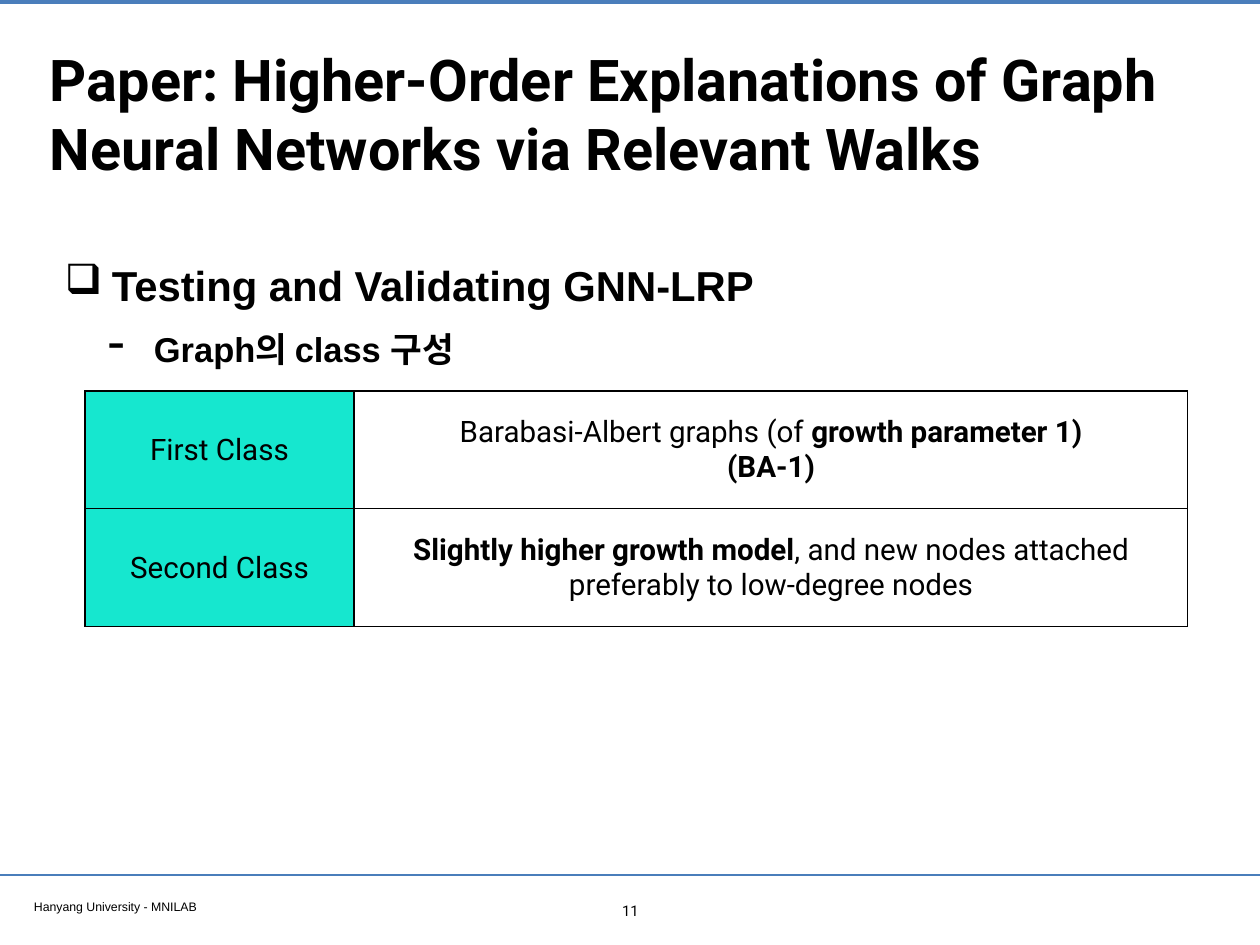
"""Build a slide on the graph classes used to test GNN-LRP."""
import lxml.etree
import pptx
import pptx.dml.color
import pptx.enum.shapes
import pptx.enum.text
import pptx.oxml
import pptx.oxml.ns
import pptx.util

PX = 10321
NS = pptx.oxml.ns.nsdecls("a")
LEFT = pptx.enum.text.PP_ALIGN.LEFT
MID = pptx.enum.text.PP_ALIGN.CENTER
TOP = pptx.enum.text.MSO_ANCHOR.TOP
CORE = pptx.enum.text.MSO_ANCHOR.MIDDLE


def color(code):
    return pptx.dml.color.RGBColor.from_string(code)


def write(para, text, size, face, bold, align):
    run = para.add_run()
    run.text = text
    para.alignment = align
    form = {"size": pptx.util.Pt(size), "name": face, "bold": bold}
    for key, value in form.items():
        setattr(run.font, key, value)
    run.font.color.rgb = color("000000")


deck = pptx.Presentation()
deck.slide_width = 1260 * PX
deck.slide_height = 945 * PX
slide = deck.slides.add_slide(deck.slide_layouts[6])
shapes = slide.shapes

for y, width in [(2, 3.2), (875, 2)]:
    rule = shapes.add_connector(
        pptx.enum.shapes.MSO_CONNECTOR.STRAIGHT, 0, y * PX, 1260 * PX, y * PX)
    rule.line.color.rgb = color("4A7EBB")
    rule.line.width = pptx.util.Pt(width)
    lxml.etree.SubElement(
        rule._element.spPr, pptx.oxml.ns.qn("a:effectLst"))

title = "Paper: Higher-Order Explanations of Graph Neural Networks via Relevant Walks"
boxes = [
    ((29, 894, 484, 23), TOP, [("Hanyang University - MNILAB", 10, "Arial", False, LEFT)]),
    ((45, 25, 1170, 175), CORE, [(title, 46.8, "Roboto", True, LEFT)]),
    ((60, 245, 1154, 145), TOP, [
        ("Testing and Validating GNN-LRP", 34, "Arial", True, LEFT),
        ("Graph의 class 구성", 28, "Arial", True, LEFT)]),
    ((613, 897, 35, 27), TOP, [("11", 12, "Roboto", False, MID)]),
]
frames = []
for place, anchor, lines in boxes:
    frame = shapes.add_textbox(*[n * PX for n in place]).text_frame
    form = {"word_wrap": True, "vertical_anchor": anchor}
    for side in ("left", "right", "top", "bottom"):
        form["margin_" + side] = 5 * PX
    for key, value in form.items():
        setattr(frame, key, value)
    for i, line in enumerate(lines):
        para = frame.add_paragraph() if i else frame.paragraphs[0]
        write(para, *line)
    frames.append(frame)

marks = [("❑", 100, 47, 47, 0), ("-", 145, 89, 46, 8)]
for level, (para, mark) in enumerate(zip(frames[2].paragraphs, marks)):
    sign, scale, left, hang, gap = mark
    para.level = level
    para.line_spacing = 1.2
    para.space_before = pptx.util.Pt(gap)
    props = para._p.get_or_add_pPr()
    props.set("marL", str(left * PX))
    props.set("indent", str(-hang * PX))
    for tag in (f'buSzPct {NS} val="{scale * 1000}"', f'buChar {NS} char="{sign}"'):
        props.append(pptx.oxml.parse_xml(f"<a:{tag}/>"))

rows = [
    ([[("First Class", False)]],
     [[("Barabasi-Albert graphs (of ", False), ("growth parameter 1)", True)],
      [("(BA-1)", True)]]),
    ([[("Second Class", False)]],
     [[("Slightly higher growth model", True),
       (", and new nodes attached preferably to low-degree nodes", False)]]),
]
grid = shapes.add_table(2, 2, 85 * PX, 391 * PX, 1103 * PX, 236 * PX).table
for col, width in zip(grid.columns, (269, 834)):
    col.width = width * PX
for r, row in enumerate(rows):
    grid.rows[r].height = 118 * PX
    for c, paras in enumerate(row):
        cell = grid.cell(r, c)
        cell.vertical_anchor = CORE
        props = cell._tc.get_or_add_tcPr()
        for side in "LRTB":
            props.append(pptx.oxml.parse_xml(
                f'<a:ln{side} {NS} w="12700"><a:solidFill>'
                f'<a:srgbClr val="000000"/></a:solidFill></a:ln{side}>'))
        cell.fill.solid()
        cell.fill.fore_color.rgb = color(("16E7CF", "FFFFFF")[c])
        for i, parts in enumerate(paras):
            frame = cell.text_frame
            para = frame.add_paragraph() if i else frame.paragraphs[0]
            for text, bold in parts:
                write(para, text, 24, "Roboto", bold, MID)

deck.save("out.pptx")
